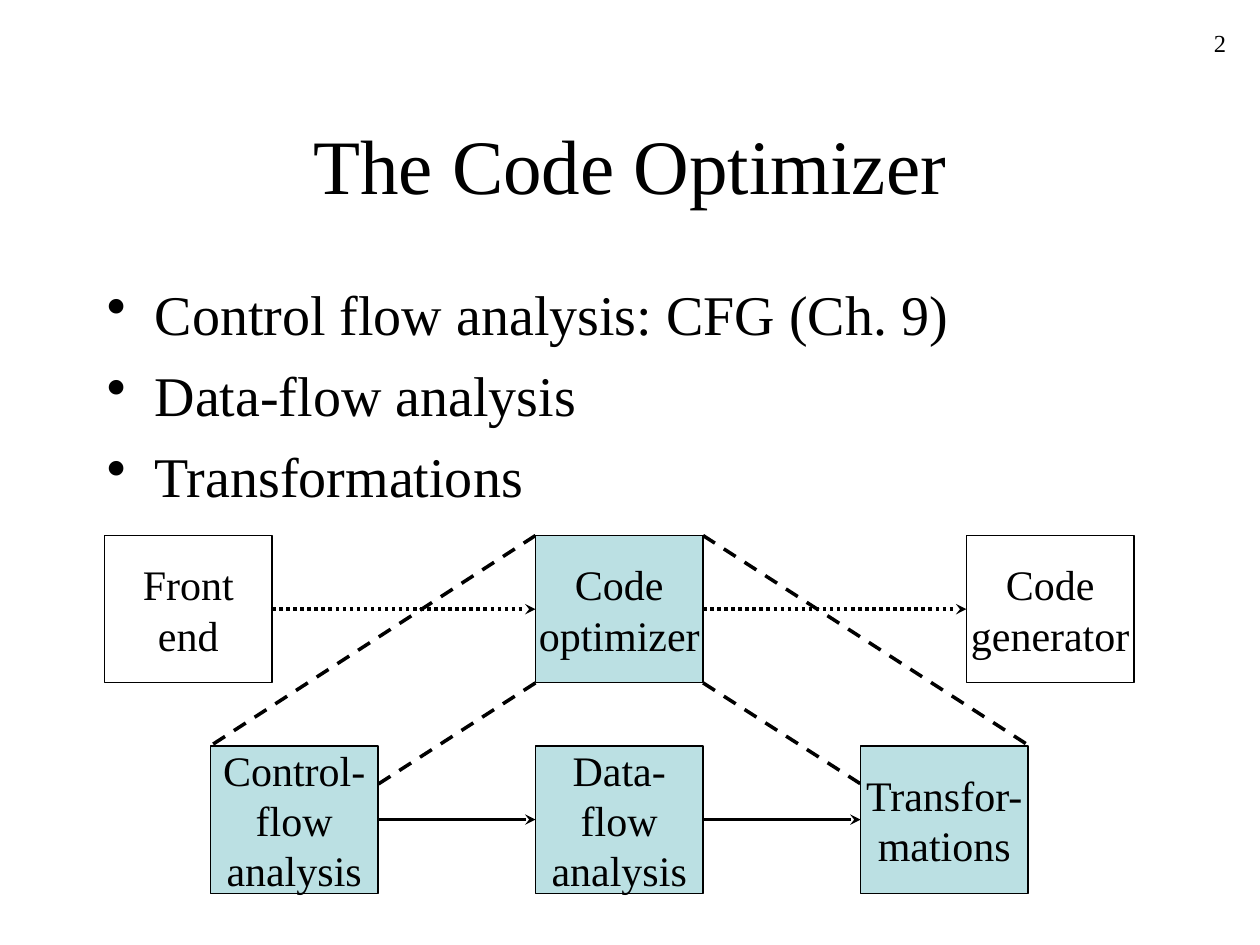
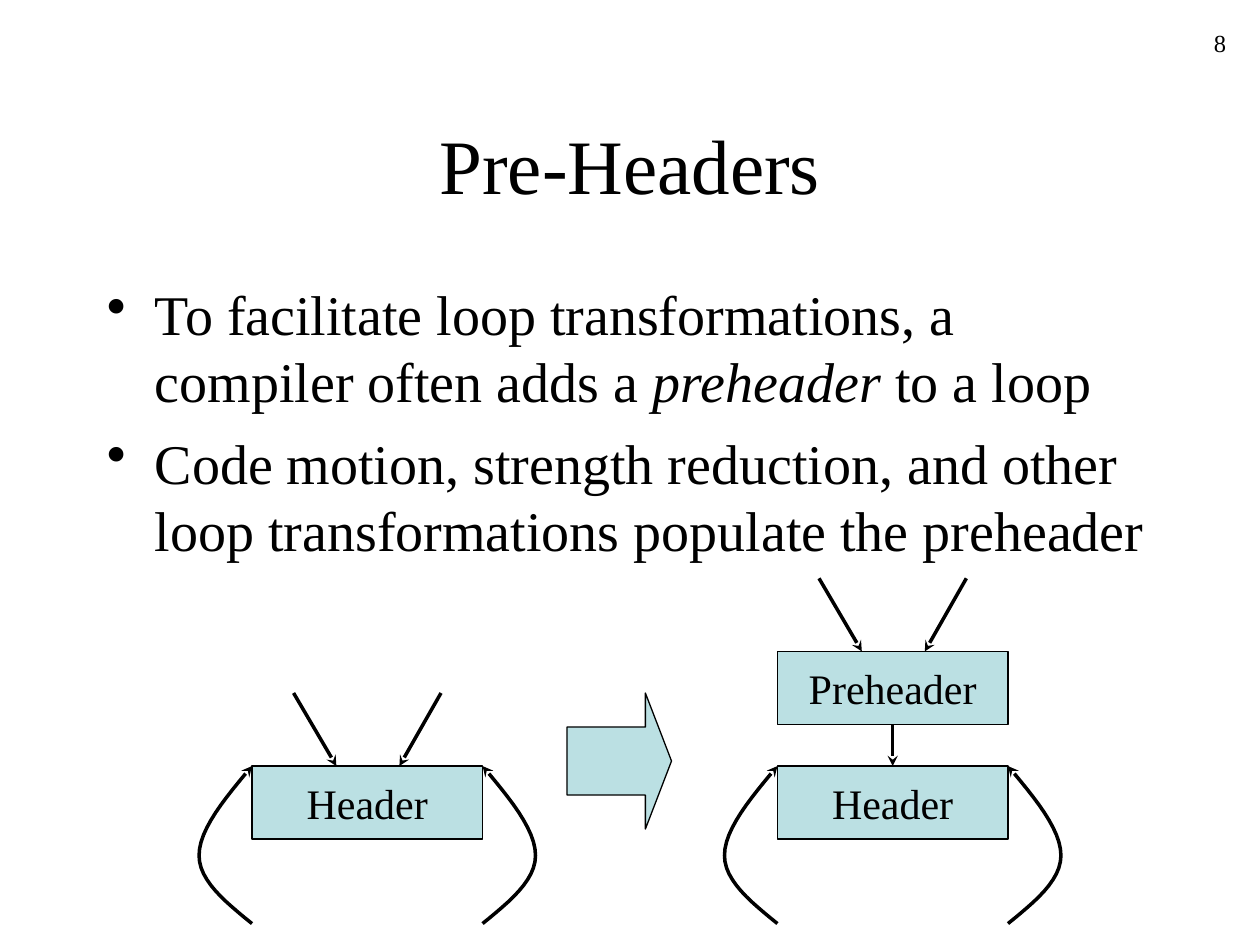
from lxml.etree import SubElement as Sub
from pptx import Presentation
from pptx.dml.color import RGBColor as RGB
from pptx.enum.dml import MSO_LINE as Dash
from pptx.enum.shapes import MSO_CONNECTOR as Conn, MSO_SHAPE as Form
from pptx.enum.text import MSO_ANCHOR as Anchor, PP_ALIGN as Align
from pptx.oxml.ns import qn
from pptx.util import Inches, Pt

COLORS = {"ink": "000000", "teal": "BBE0E3"}
FONT = "Times New Roman"
INK = RGB.from_string(COLORS["ink"])
TEAL = RGB.from_string(COLORS["teal"])


def write(shape, paras, size, align, anchor=Anchor.MIDDLE, wrap=True, dots=False):
    frame = shape.text_frame
    frame.word_wrap = wrap
    frame.vertical_anchor = anchor
    for i, runs in enumerate(paras):
        para = frame.paragraphs[0] if i == 0 else frame.add_paragraph()
        if dots:
            props = para._p.get_or_add_pPr()
            props.set("marL", str(Inches(0.38)))
            props.set("indent", str(Inches(-0.38)))
            Sub(props, qn("a:buChar"), char="•")
            if i:
                para.space_before = Pt(8)
        para.alignment = align
        for words, slant in runs:
            for k, part in enumerate(words.split("\n")):
                if k:
                    para.add_line_break()
                run = para.add_run()
                run.text = part
                run.font.name = FONT
                run.font.size = Pt(size)
                run.font.italic = slant
                run.font.color.rgb = INK


def style(shape, width, fill=None, head=False, dash=None):
    line = shape.line
    line.color.rgb = INK
    line.width = Pt(width)
    if dash:
        line.dash_style = dash
    if head:
        Sub(line._get_or_add_ln(), qn("a:tailEnd"), type="stealth")
    if hasattr(shape, "fill"):
        shape.shadow.inherit = False
        if fill:
            shape.fill.solid()
            shape.fill.fore_color.rgb = fill
        else:
            shape.fill.background()
    else:
        Sub(shape._element.spPr, qn("a:effectLst"))


deck = Presentation()
deck.slide_width = Inches(10)
deck.slide_height = Inches(7.5)

pages = [
    ("The Code Optimizer", "2", [
        [("Control flow analysis: CFG (Ch. 9)", False)],
        [("Data-flow analysis", False)],
        [("Transformations", False)],
    ]),
    ("Pre-Headers", "8", [
        [("To facilitate loop transformations, a compiler often adds a ", False),
         ("preheader", True), (" to a loop", False)],
        [("Code motion, strength reduction, and other loop transformations "
          "populate the preheader", False)],
    ]),
]
slides = []
for title, number, points in pages:
    slide = deck.slides.add_slide(deck.slide_layouts[6])
    slides.append(slide.shapes)
    head = slide.shapes.add_textbox(Inches(0.75), Inches(0.67), Inches(8.5), Inches(1.25))
    write(head, [[(title, False)]], 44, Align.CENTER)
    body = slide.shapes.add_textbox(Inches(0.75), Inches(2.17), Inches(8.5), Inches(4.5))
    write(body, points, 32, Align.LEFT, Anchor.TOP, dots=True)
    count = slide.shapes.add_textbox(Inches(7.75), Inches(0.17), Inches(2.08), Inches(0.5))
    write(count, [[(number, False)]], 14, Align.RIGHT, Anchor.TOP)

flow, loop = slides

for top, low in [(5.42, 7.08), (4.25, 5.92)]:
    for near, far in [(4.25, 1.67), (5.58, 8.17)]:
        ray = flow.add_connector(Conn.STRAIGHT, Inches(near), Inches(top), Inches(far), Inches(low))
        style(ray, 2, dash=Dash.DASH)

rows = [
    (4.25, Dash.ROUND_DOT, [
        (0.83, "Front\nend", None),
        (4.25, "Code\noptimizer", TEAL),
        (7.67, "Code\ngenerator", None),
    ]),
    (5.92, None, [
        (1.67, "Control-\nflow\nanalysis", TEAL),
        (4.25, "Data-\nflow\nanalysis", TEAL),
        (6.83, "Transfor-\nmations", TEAL),
    ]),
]
for top, dash, stages in rows:
    last = None
    for left, label, fill in stages:
        box = flow.add_shape(Form.RECTANGLE, Inches(left), Inches(top), Inches(1.33), Inches(1.17))
        style(box, 0.75, fill)
        write(box, [[(label, False)]], 24, Align.CENTER, wrap=False)
        if last:
            link = flow.add_connector(Conn.STRAIGHT, 0, 0, 0, 0)
            link.begin_connect(last, 3)
            link.end_connect(box, 1)
            style(link, 2, head=True, dash=dash)
        last = box

graphs = [
    (2, [("Header", 6.08)]),
    (6.17, [("Preheader", 5.17), ("Header", 6.08)]),
]
for left, blocks in graphs:
    last = None
    for label, top in blocks:
        box = loop.add_shape(Form.RECTANGLE, Inches(left), Inches(top), Inches(1.83), Inches(0.58))
        style(box, 0.75, TEAL)
        write(box, [[(label, False)]], 24, Align.CENTER, wrap=False)
        if last:
            link = loop.add_connector(Conn.STRAIGHT, 0, 0, 0, 0)
            link.begin_connect(last, 2)
            link.end_connect(box, 0)
            style(link, 2, head=True)
        last = box
    first = blocks[0][1]
    for start, end in [(0.33, 0.67), (1.5, 1.17)]:
        entry = loop.add_connector(Conn.STRAIGHT, Inches(left + start), Inches(first - 0.58),
                                   Inches(left + end), Inches(first))
        style(entry, 2, head=True)
    for edge, side in [(left, -1), (left + 1.83, 1)]:
        spots = []
        for xs, ys in [((0, 0.21, 0.42, 0.42), (7.33, 7.16, 6.99, 6.79)),
                       ((0.42, 0.42, 0.21, 0), (6.79, 6.58, 6.33, 6.08))]:
            for step in range(13):
                t = step / 12
                mix = ((1 - t) ** 3, 3 * t * (1 - t) ** 2, 3 * t * t * (1 - t), t ** 3)
                x = edge + side * sum(m * v for m, v in zip(mix, xs))
                y = sum(m * v for m, v in zip(mix, ys))
                spots.append((Inches(x), Inches(y)))
        curve = loop.build_freeform(*spots[0])
        curve.add_line_segments(spots[1:], close=False)
        style(curve.convert_to_shape(), 2, head=True)

arrow = loop.add_shape(Form.RIGHT_ARROW, Inches(4.5), Inches(5.5), Inches(0.83), Inches(1.08))
arrow.adjustments[0] = 0.5
arrow.adjustments[1] = 0.25
style(arrow, 0.75, TEAL)

deck.save("out.pptx")
